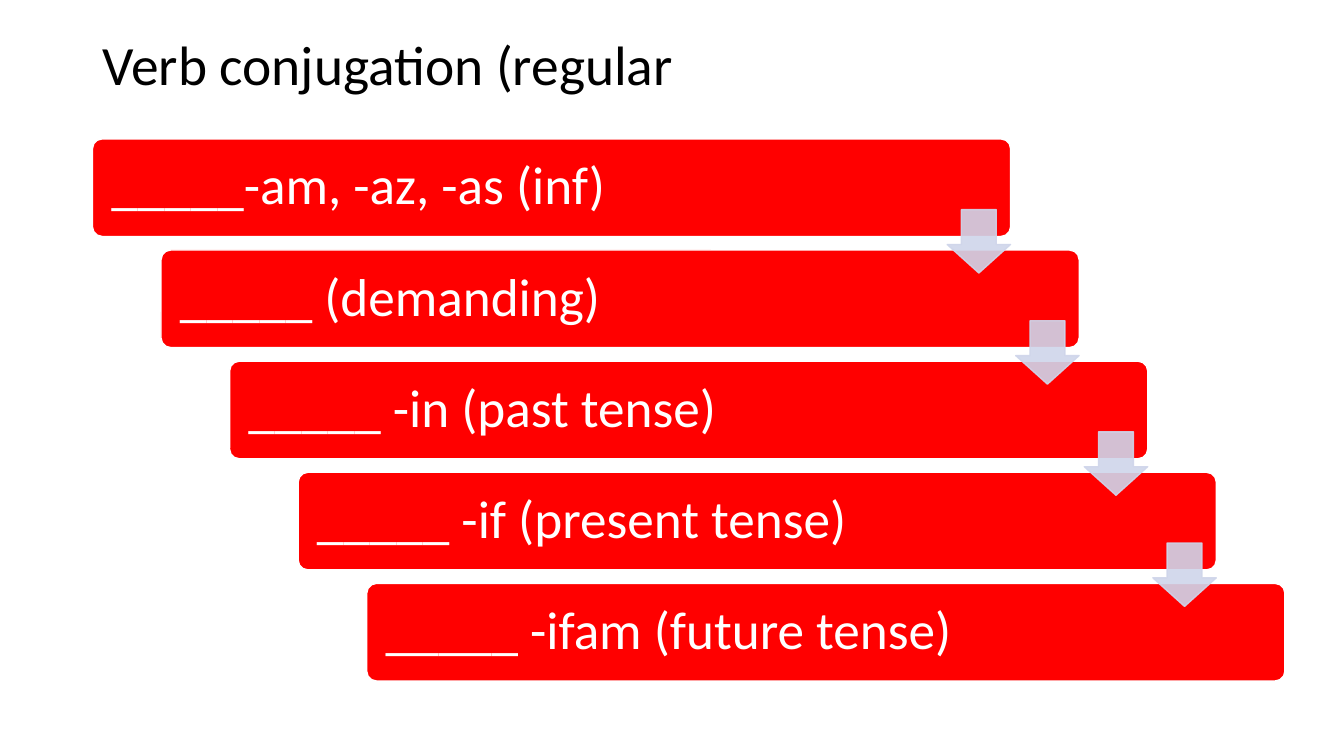
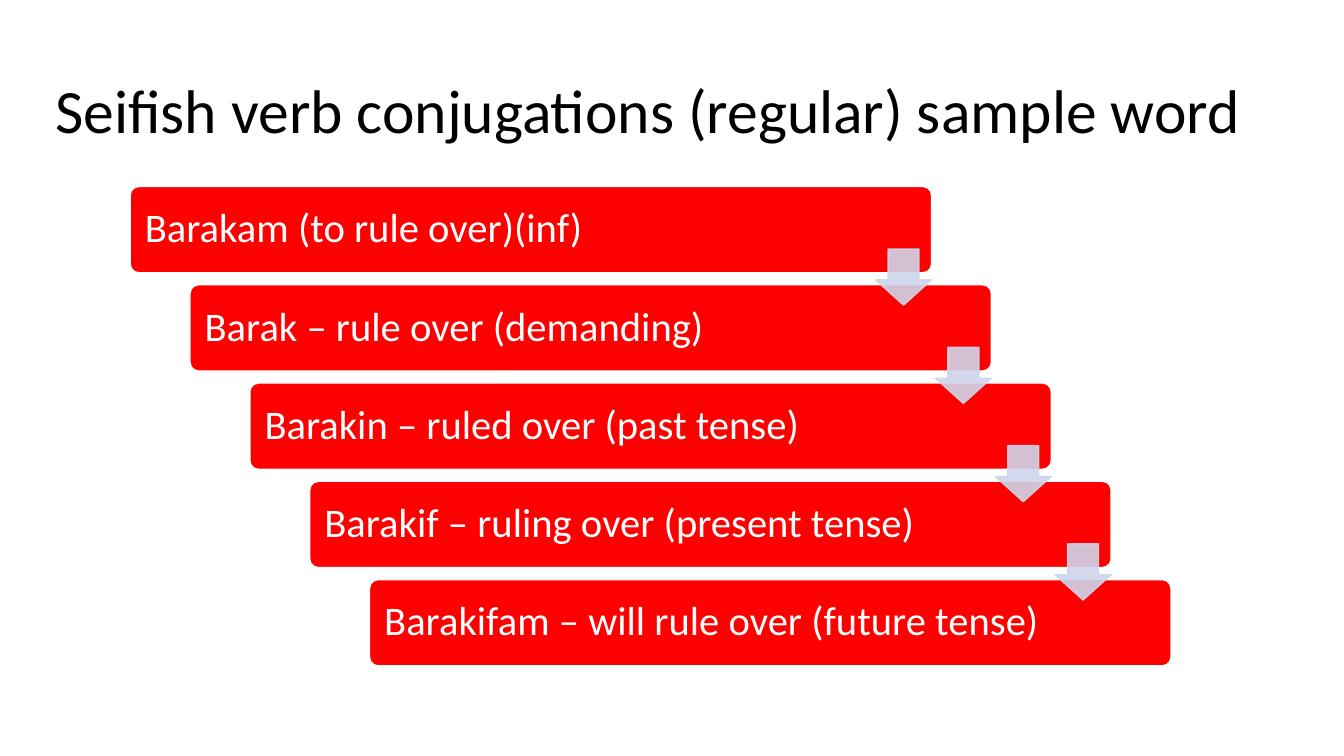
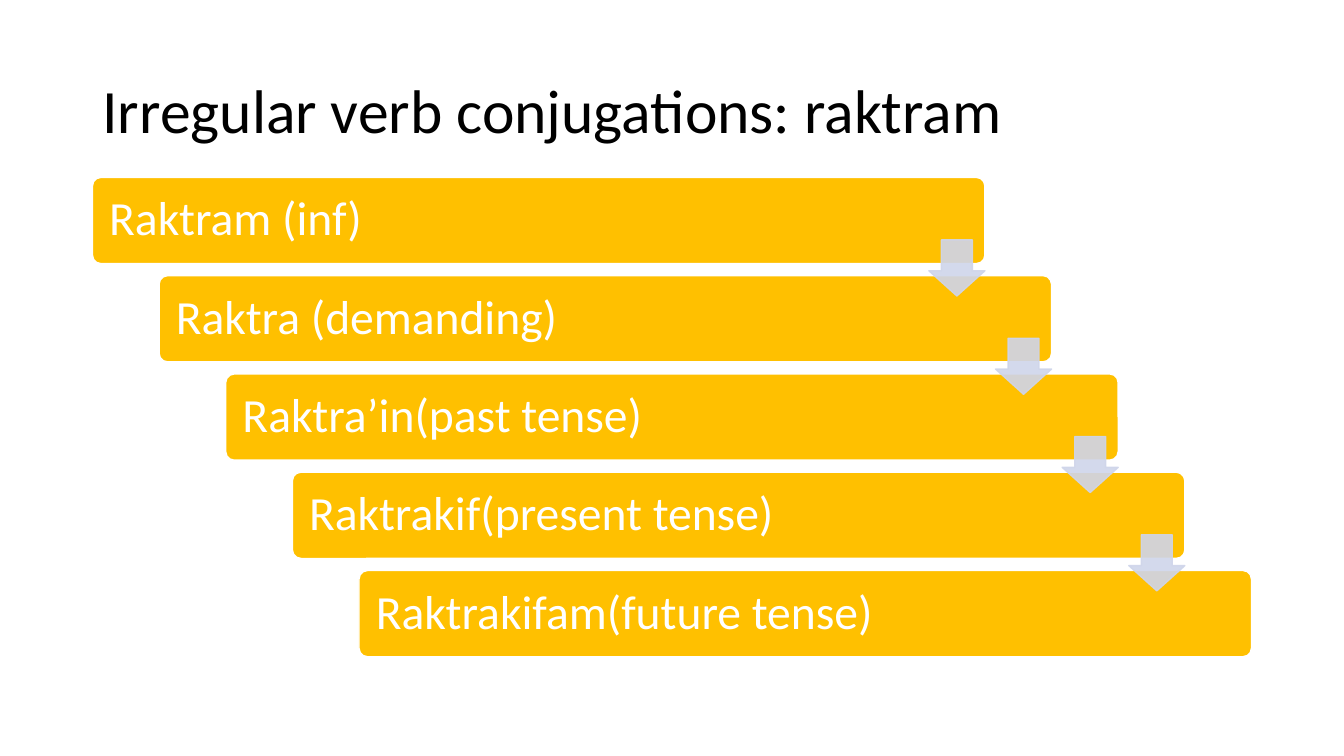
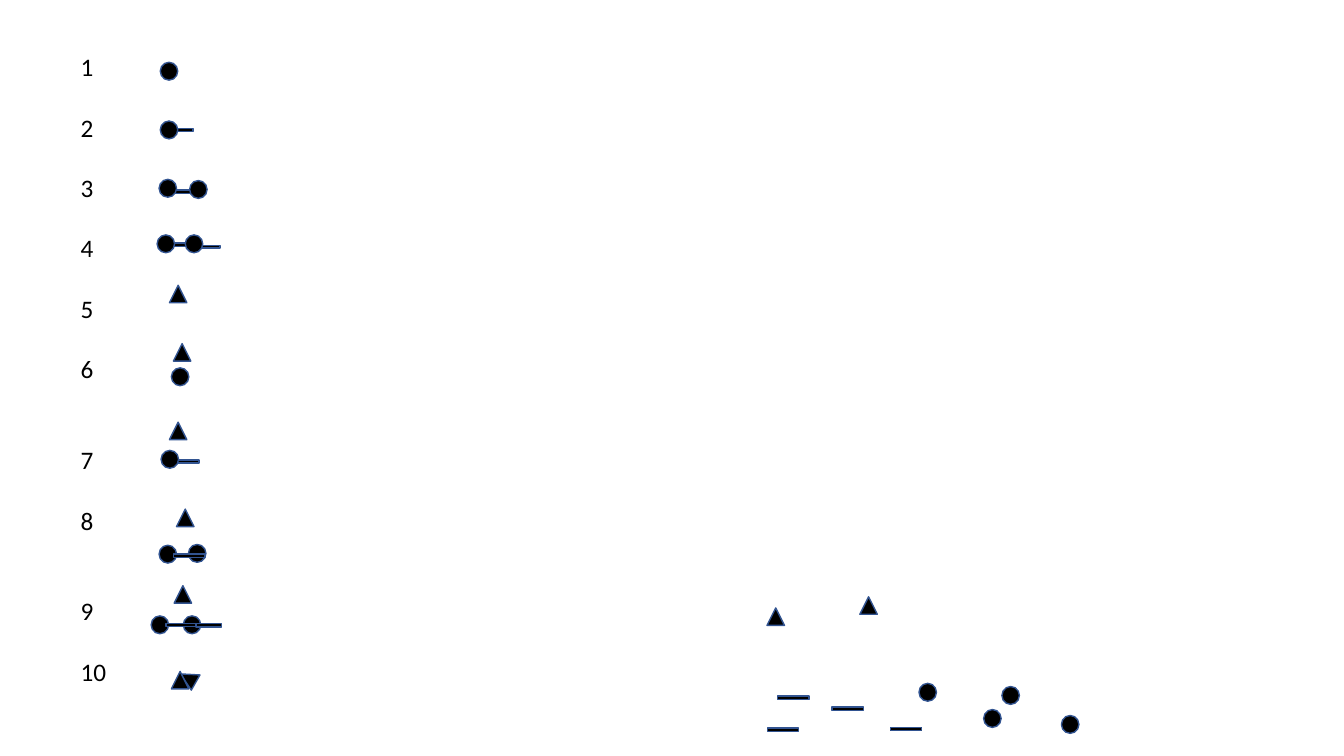
from dataclasses import dataclass
from typing import NamedTuple

from lxml.etree import SubElement
from pptx import Presentation
from pptx.dml.color import RGBColor as Rgb
from pptx.enum.shapes import MSO_SHAPE as Preset
from pptx.enum.text import MSO_ANCHOR as Anchor, MSO_AUTO_SIZE as AutoSize, PP_ALIGN as Align
from pptx.oxml.ns import qn
from pptx.util import Cm, Pt


# Theme
@dataclass(frozen=True)
class Theme:
    font: str = "Calibri"
    ink: Rgb = Rgb(0, 0, 0)
    paper: Rgb = Rgb(255, 255, 255)
    regular: Rgb = Rgb(0xFF, 0, 0)
    irregular: Rgb = Rgb(0xFF, 0xC0, 0)
    arrow: Rgb = Rgb(0xCF, 0xD5, 0xEA)
    mark_edge: Rgb = Rgb(0x32, 0x54, 0x91)
    title_size: float = 44
    small_title_size: float = 39.6
    number_size: float = 18
    number_gap: float = 21.6
    line_spacing: float = 0.9


THEME = Theme()


class Frame(NamedTuple):
    """Left, top, width and height in centimetres."""
    left: float
    top: float
    width: float
    height: float

    def lengths(self) -> list[Cm]:
        return [Cm(value) for value in self]


# Content of the conjugation slides
@dataclass(frozen=True)
class Staircase:
    title: str
    title_frame: Frame
    frame: Frame
    fill: Rgb
    text_size: int
    steps: tuple[str, ...]
    title_size: float = THEME.title_size


STAIRCASES = (
    Staircase(
        "Verb conjugation (regular", Frame(2.33, 1.02, 17.55, 1.37),
        Frame(2.33, 3.5, 30.05, 13.66), THEME.regular, 38,
        ("_____-am, -az, -as (inf)", "_____ (demanding)", "_____ -in (past tense)",
         "_____ -if (present tense)", "_____ -ifam (future tense)"),
        THEME.small_title_size),
    Staircase(
        "Seifish verb conjugations (regular) sample word", Frame(1.14, 1.02, 30.4, 3.68),
        Frame(3.28, 4.7, 26.23, 12.08), THEME.regular, 29,
        ("Barakam (to rule over)(inf)", "Barak – rule over (demanding)",
         "Barakin – ruled over (past tense)", "Barakif – ruling over (present tense)",
         "Barakifam – will rule over (future tense)")),
    Staircase(
        "Irregular verb conjugations: raktram", Frame(2.33, 1.02, 29.21, 3.68),
        Frame(2.33, 4.47, 29.21, 12.08), THEME.irregular, 34,
        ("Raktram (inf)", "Raktra (demanding)", "Raktra’in(past tense)",
         "Raktrakif(present tense)", "Raktrakifam(future tense)")),
)


# Content of the numerals slide
class MarkKind(NamedTuple):
    preset: Preset
    width: float
    height: float


DOT = MarkKind(Preset.OVAL, 0.44, 0.45)
PEAK = MarkKind(Preset.ISOSCELES_TRIANGLE, 0.44, 0.44)
DASH = MarkKind(Preset.MATH_MINUS, 1.07, 0.36)
THIN_DASH = MarkKind(Preset.MATH_MINUS, 1.07, 0.3)
SHORT_DASH = MarkKind(Preset.MATH_MINUS, 0.86, 0.38)


class Mark(NamedTuple):
    kind: MarkKind
    left: float
    top: float
    turn: float = 0


NUMERALS = {
    1: (Mark(DOT, 4.04, 1.57),),
    2: (Mark(DASH, 3.94, 3.1), Mark(DOT, 4.04, 3.05)),
    3: (Mark(DASH, 3.94, 4.65), Mark(DOT, 4.78, 4.55), Mark(DOT, 4.01, 4.52)),
    4: (Mark(DASH, 3.84, 5.99), Mark(THIN_DASH, 4.62, 6.07),
        Mark(DOT, 4.67, 5.92), Mark(DOT, 3.96, 5.92)),
    5: (Mark(PEAK, 4.27, 7.19),),
    6: (Mark(DOT, 4.32, 9.27), Mark(PEAK, 4.37, 8.66)),
    7: (Mark(THIN_DASH, 4.09, 11.48), Mark(DOT, 4.06, 11.35), Mark(PEAK, 4.27, 10.64)),
    8: (Mark(DOT, 4.75, 13.72), Mark(DOT, 4.01, 13.74),
        Mark(DASH, 4.24, 13.82), Mark(PEAK, 4.45, 12.83)),
    9: (Mark(DOT, 4.62, 15.52), Mark(DOT, 3.81, 15.52), Mark(DASH, 4.04, 15.57),
        Mark(SHORT_DASH, 4.83, 15.57), Mark(PEAK, 4.39, 14.76)),
    10: (Mark(PEAK, 4.52, 16.87, 299.8), Mark(PEAK, 4.32, 16.92)),
}
WIDE_GAP_BEFORE = (7, 9)
SPARE_MARKS = (
    Mark(DOT, 23.16, 17.22), Mark(DOT, 26.75, 18.03),
    Mark(DOT, 24.79, 17.88), Mark(DOT, 25.25, 17.3),
    Mark(DASH, 19.2, 18.21), Mark(DASH, 22.3, 18.19),
    Mark(DASH, 20.83, 17.68), Mark(DASH, 19.46, 17.4),
    Mark(PEAK, 19.33, 15.32), Mark(PEAK, 21.67, 15.04),
)


# Drawing helpers
def style_text(paragraph, size: float, color: Rgb) -> None:
    paragraph.alignment = Align.LEFT
    paragraph.font.name = THEME.font
    paragraph.font.size = Pt(size)
    paragraph.font.color.rgb = color


def add_filled(slide, preset: Preset, frame: Frame, fill: Rgb, edge: Rgb):
    shape = slide.shapes.add_shape(preset, *frame.lengths())
    shape.shadow.inherit = False
    shape.fill.solid()
    shape.fill.fore_color.rgb = fill
    shape.line.color.rgb = edge
    shape.line.width = Pt(1)
    return shape


def set_opacity(shape, percent: int) -> None:
    for color in shape.element.spPr.iter(qn("a:srgbClr")):
        SubElement(color, qn("a:alpha")).set("val", str(percent * 1000))


def add_title(slide, text: str, frame: Frame, size: float) -> None:
    title = slide.shapes.title
    title.left, title.top, title.width, title.height = frame.lengths()
    box = title.text_frame
    box.text = text
    box.auto_size = AutoSize.NONE
    box.vertical_anchor = Anchor.MIDDLE
    paragraph = box.paragraphs[0]
    paragraph.line_spacing = THEME.line_spacing
    style_text(paragraph, size, THEME.ink)


def add_step(slide, text: str, frame: Frame, fill: Rgb, size: int) -> None:
    bar = add_filled(slide, Preset.ROUNDED_RECTANGLE, frame, fill, THEME.paper)
    bar.adjustments[0] = 0.1
    box = bar.text_frame
    box.text = text
    box.word_wrap = True
    box.vertical_anchor = Anchor.MIDDLE
    inset = Pt(size * 0.3)
    box.margin_left = box.margin_right = box.margin_top = box.margin_bottom = inset
    paragraph = box.paragraphs[0]
    paragraph.line_spacing = THEME.line_spacing
    style_text(paragraph, size, THEME.paper)


def add_down_arrow(slide, bar: Frame) -> None:
    side = bar.height * 0.65
    frame = Frame(bar.left + bar.width - side, bar.top + bar.height * 0.725, side, side)
    arrow = add_filled(slide, Preset.DOWN_ARROW, frame, THEME.arrow, THEME.arrow)
    arrow.adjustments[0], arrow.adjustments[1] = 0.55, 0.45
    set_opacity(arrow, 90)


def add_mark(slide, mark: Mark) -> None:
    frame = Frame(mark.left, mark.top, mark.kind.width, mark.kind.height)
    shape = add_filled(slide, mark.kind.preset, frame, THEME.ink, THEME.mark_edge)
    shape.rotation = mark.turn


# Slides
def add_staircase_slide(deck, stairs: Staircase) -> None:
    slide = deck.slides.add_slide(deck.slide_layouts[5])
    add_title(slide, stairs.title, stairs.title_frame, stairs.title_size)
    left, top, width, height = stairs.frame
    # Five bars share the frame; the last one ends at its lower right corner
    bars = [Frame(left + index * width * 0.0575, top + index * height * 0.205,
                  width * 0.77, height * 0.18)
            for index in range(len(stairs.steps))]
    for text, bar in zip(stairs.steps, bars):
        add_step(slide, text, bar, stairs.fill, stairs.text_size)
    for bar in bars[:-1]:
        add_down_arrow(slide, bar)


def add_numerals_slide(deck) -> None:
    slide = deck.slides.add_slide(deck.slide_layouts[6])
    box = slide.shapes.add_textbox(*Frame(1.78, 1.17, 1.3, 16.41).lengths()).text_frame
    box.word_wrap = True
    for index, number in enumerate(NUMERALS):
        paragraph = box.add_paragraph() if index else box.paragraphs[0]
        paragraph.text = str(number)
        if index:
            paragraph.space_before = Pt(THEME.number_gap * (1 + (number in WIDE_GAP_BEFORE)))
        style_text(paragraph, THEME.number_size, THEME.ink)
    for marks in (*NUMERALS.values(), SPARE_MARKS):
        for mark in marks:
            add_mark(slide, mark)


def main() -> None:
    deck = Presentation()
    deck.slide_width, deck.slide_height = Cm(33.87), Cm(19.05)
    for stairs in STAIRCASES:
        add_staircase_slide(deck, stairs)
    add_numerals_slide(deck)
    deck.save("out.pptx")


if __name__ == "__main__":
    main()
